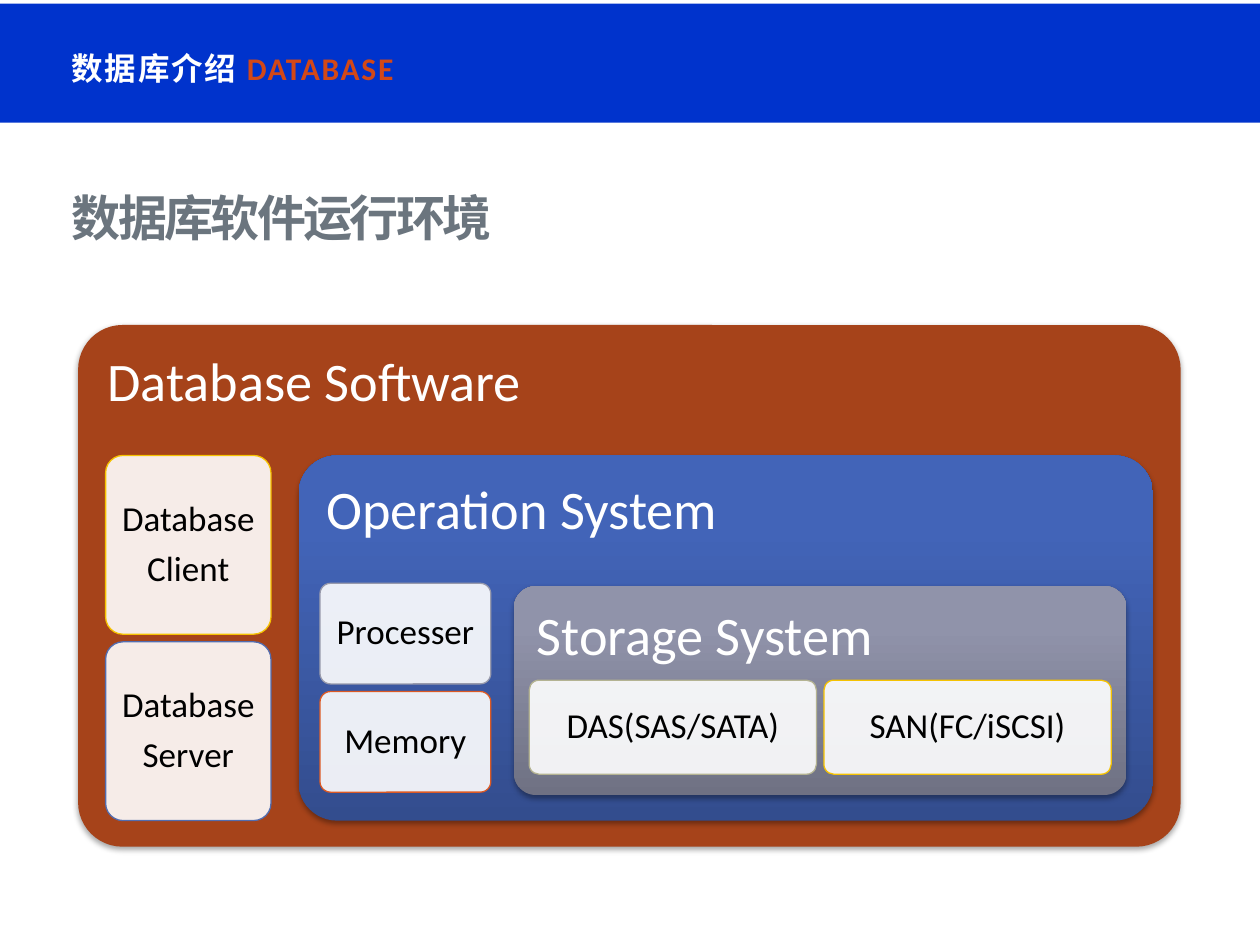
from copy import deepcopy

from lxml import etree
from pptx import Presentation
from pptx.dml.color import RGBColor
from pptx.enum.shapes import MSO_SHAPE
from pptx.enum.text import MSO_ANCHOR, MSO_AUTO_SIZE, PP_ALIGN
from pptx.oxml.ns import qn
from pptx.util import Inches, Pt

RECT, ROUNDED = MSO_SHAPE.RECTANGLE, MSO_SHAPE.ROUNDED_RECTANGLE
TOP, MIDDLE = MSO_ANCHOR.TOP, MSO_ANCHOR.MIDDLE
LEFT, CENTER = PP_ALIGN.LEFT, PP_ALIGN.CENTER
NO_FIT = MSO_AUTO_SIZE.NONE
LATIN, CHINESE = "Calibri", "Noto Sans CJK SC"
WIDTH, HEIGHT = 10, 7.5
CARD_GAP = 0.06


def color(hex_code):
    """Turn a hex string into a colour."""
    return RGBColor.from_string(hex_code)


def inside(box, left, top, width, height):
    """Return the part of a box given by percentages of its size."""
    x, y, w, h = box
    return (x + w * left / 100, y + h * top / 100, w * width / 100, h * height / 100)


def split(box, count, across):
    """Divide a box into equal cells, side by side or stacked."""
    x, y, w, h = box
    if across:
        cell = (w - CARD_GAP * (count - 1)) / count
        return [(x + i * (cell + CARD_GAP), y, cell, h) for i in range(count)]
    cell = (h - CARD_GAP * (count - 1)) / count
    return [(x, y + i * (cell + CARD_GAP), w, cell) for i in range(count)]


def add_run(paragraph, text, *, size, hex_code, font=LATIN, bold=False, spacing=0):
    """Append a formatted run to a paragraph."""
    run = paragraph.add_run()
    run.text = text
    run.font.size, run.font.bold, run.font.name = Pt(size), bold, font
    run.font.color.rgb = color(hex_code)
    properties = run.font._element
    if spacing:
        properties.set("spc", str(round(spacing * 100)))
    etree.SubElement(properties, qn("a:ea"), typeface=font)


def add_label(shape, lines, *, size, hex_code, inset, anchor, align):
    """Write spaced lines of text into a shape."""
    frame = shape.text_frame
    frame.word_wrap, frame.vertical_anchor = True, anchor
    frame.margin_left = frame.margin_right = Inches(inset)
    frame.margin_top = frame.margin_bottom = Inches(inset)
    for index, line in enumerate(lines):
        paragraph = frame.add_paragraph() if index else frame.paragraphs[0]
        paragraph.alignment, paragraph.line_spacing = align, 0.9
        paragraph.space_after = Pt(size * 0.35)
        add_run(paragraph, line, size=size, hex_code=hex_code)


def add_block(slide, kind, box, fill):
    """Add a borderless shape with a solid fill."""
    block = slide.shapes.add_shape(kind, *map(Inches, box))
    block.shadow.inherit = False
    block.fill.solid()
    block.fill.fore_color.rgb = color(fill)
    block.line.fill.background()
    return block


def add_shadow(shape):
    """Give a shape a soft shadow that falls downwards."""
    effects = shape._element.spPr.find(qn("a:effectLst"))
    shadow = etree.SubElement(effects, qn("a:outerShdw"), blurRad=str(Pt(3.1)),
                              dist=str(Pt(1.8)), dir="5400000", rotWithShape="0")
    black = etree.SubElement(shadow, qn("a:srgbClr"), val="000000")
    etree.SubElement(black, qn("a:alpha"), val="35000")


def set_gradient(shape, shades):
    """Shade a shape upwards from its bottom edge."""
    shape.fill.gradient()
    shape.fill.gradient_angle = 90
    stop_list = shape._element.spPr.find(".//" + qn("a:gsLst"))
    stop_list.append(deepcopy(stop_list[-1]))
    for stop, position, shade in zip(shape.fill.gradient_stops, (0, 0.8, 1), shades):
        stop.position = position
        stop.color.rgb = color(shade)


def draw_panel(slide, box, heading, shades, corner=0.105):
    """Draw a titled layer of the stack."""
    panel = add_block(slide, ROUNDED, box, shades[0])
    panel.adjustments[0] = corner
    if len(shades) > 1:
        set_gradient(panel, shades)
    add_shadow(panel)
    add_label(panel, [heading], size=31, hex_code="FFFFFF", inset=0.13,
              anchor=TOP, align=LEFT)


def draw_cards(slide, box, cards, across=False):
    """Fill a box with equal, outlined component cards."""
    for cell, (lines, outline) in zip(split(box, len(cards), across), cards):
        card = add_block(slide, ROUNDED, cell, "FFFFFF")
        card.adjustments[0] = 0.105
        white = card._element.spPr.find(".//" + qn("a:srgbClr"))
        etree.SubElement(white, qn("a:alpha"), val="90000")
        card.line.color.rgb = color(outline)
        card.line.width = Pt(0.75)
        add_label(card, lines, size=20, hex_code="000000", inset=0.08,
                  anchor=MIDDLE, align=CENTER)


def draw_header(slide, box):
    """Draw the section band with its bilingual name."""
    add_block(slide, RECT, box, "0033CC")
    section = slide.shapes.add_textbox(*map(Inches, inside(box, 5, 29.5, 73, 49.5)))
    frame = section.text_frame
    frame.word_wrap, frame.vertical_anchor = True, MIDDLE
    style = dict(size=18, bold=True, spacing=1)
    add_run(frame.paragraphs[0], "数据库介绍 ", hex_code="FFFFFF", font=CHINESE, **style)
    add_run(frame.paragraphs[0], "DATABASE", hex_code="D34817", **style)


def draw_title(slide, box):
    """Place and format the slide title."""
    title = slide.shapes.title
    title.left, title.top, title.width, title.height = map(Inches, box)
    frame = title.text_frame
    frame.auto_size, frame.vertical_anchor = NO_FIT, MIDDLE
    frame.paragraphs[0].alignment = LEFT
    add_run(frame.paragraphs[0], "数据库软件运行环境", size=28, hex_code="6B757E",
            font=CHINESE, bold=True, spacing=-1.5)


def draw_environment(slide, software):
    """Draw the nested software, operating and storage layers."""
    system = inside(software, 20, 25, 77.5, 70)
    storage = inside(system, 25.2, 35.8, 71.7, 57.2)
    draw_panel(slide, software, "Database Software", ["A6431A"], corner=0.085)
    draw_cards(slide, inside(software, 2.5, 25, 15, 70),
               [(["Database", "Client"], "F5C201"), (["Database", "Server"], "526DB0")])
    draw_panel(slide, system, "Operation System", ["334D8E", "4264B8", "4063BB"])
    draw_cards(slide, inside(system, 2.5, 35, 20, 57.2),
               [(["Processer"], "989AAC"), (["Memory"], "DC5924")])
    draw_panel(slide, storage, "Storage System", ["6F7183", "9093AA", "9193AB"])
    draw_cards(slide, inside(storage, 2.5, 45, 95, 45),
               [(["DAS(SAS/SATA)"], "B4B392"), (["SAN(FC/iSCSI)"], "F5C201")],
               across=True)


def main():
    """Build and save the slide."""
    deck = Presentation()
    deck.slide_width, deck.slide_height = Inches(WIDTH), Inches(HEIGHT)
    slide = deck.slides.add_slide(deck.slide_layouts[5])
    page = (0, 0, WIDTH, HEIGHT)
    draw_header(slide, inside(page, -0.3, 0.4, 100.3, 12.6))
    draw_title(slide, inside(page, 4.7, 18.8, 90, 8.4))
    draw_environment(slide, inside(page, 6.2, 34.4, 87.5, 55.2))
    deck.save("out.pptx")


if __name__ == "__main__":
    main()
